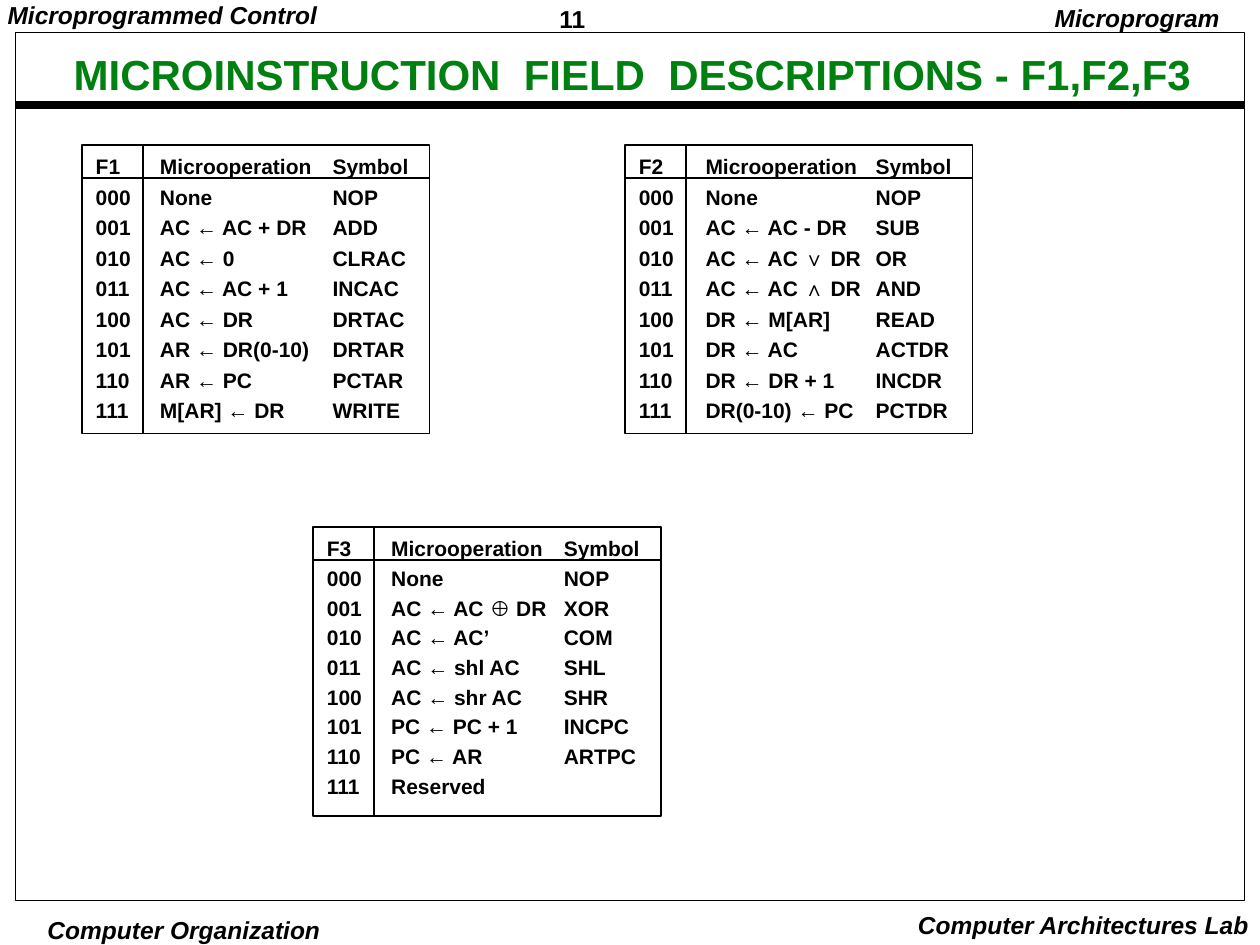
from lxml import etree
from pptx import Presentation
from pptx.dml.color import RGBColor
from pptx.enum.shapes import MSO_CONNECTOR, MSO_SHAPE
from pptx.enum.text import MSO_ANCHOR, MSO_AUTO_SIZE, PP_ALIGN
from pptx.oxml.ns import qn
from pptx.util import Inches, Pt

LEFT, CENTER, RIGHT = PP_ALIGN.LEFT, PP_ALIGN.CENTER, PP_ALIGN.RIGHT
MIDDLE, TOP = MSO_ANCHOR.MIDDLE, MSO_ANCHOR.TOP
GROW = MSO_AUTO_SIZE.SHAPE_TO_FIT_TEXT
STRAIGHT, RECTANGLE = MSO_CONNECTOR.STRAIGHT, MSO_SHAPE.RECTANGLE
COLORS = {"ink": "000000", "title": "008011"}

deck = Presentation()
deck.slide_width, deck.slide_height = Inches(10), Inches(7.5)
page = deck.slides.add_slide(deck.slide_layouts[5])

# Grid of 100 columns by 75 rows
COLUMN, ROW = deck.slide_width / 100, deck.slide_height / 75


def write(box, lines, size, color="ink", italic=False, align=LEFT, spacing=1.0,
          insets=(0.07, 0.03), wrap=False, anchor=TOP, tabs=()):
    """Fill a box with one bold paragraph per line."""
    frame = box.text_frame
    across, down = (Inches(inset) for inset in insets)
    frame_format = {"word_wrap": wrap, "auto_size": GROW, "vertical_anchor": anchor,
                    "margin_left": across, "margin_right": across,
                    "margin_top": down, "margin_bottom": down}
    for name, value in frame_format.items():
        setattr(frame, name, value)
    for number, line in enumerate(lines):
        para = frame.add_paragraph() if number else frame.paragraphs[0]
        para.alignment, para.line_spacing = align, spacing
        if tabs:
            stops = etree.SubElement(para._p.get_or_add_pPr(), qn("a:tabLst"))
            for stop in tabs:
                etree.SubElement(stops, qn("a:tab"), pos=str(Inches(stop)), algn="l")
        span = para.add_run()
        span.text = line
        font_format = {"name": "Arial", "size": Pt(size), "bold": True, "italic": italic}
        for name, value in font_format.items():
            setattr(span.font, name, value)
        span.font.color.rgb = RGBColor.from_string(COLORS[color])


def outline(shape, weight):
    """Draw a shape or connector as a plain black line without shadow."""
    shape.line.color.rgb = RGBColor.from_string(COLORS["ink"])
    shape.line.width = Pt(weight)
    if hasattr(shape, "fill"):
        shape.fill.background()
        shape.shadow.inherit = False
    else:
        etree.SubElement(shape._element.spPr, qn("a:effectLst"))


# Running heads, feet and page number: text, column, row, width, height, format
margin_texts = [
    ("11", 43.7, 0, 10.8, 2.9, {"spacing": 1.01}),
    ("Microprogrammed Control", -0.1, 0, 26, 2.7, {"italic": True, "spacing": 0.9}),
    ("Microprogram ", 82.2, 0, 15.6, 3.1,
     {"italic": True, "align": RIGHT, "spacing": 0.9, "insets": (0.1, 0.05)}),
    ("Computer Organization", 3.2, 72.5, 22.8, 2.6,
     {"italic": True, "align": CENTER, "insets": (0.03, 0.01)}),
    ("Computer Architectures Lab", 71.8, 71.7, 28.3, 3.3,
     {"italic": True, "align": RIGHT, "insets": (0.1, 0.05)}),
]
for text, column, row, width, height, text_format in margin_texts:
    box = page.shapes.add_textbox(int(column * COLUMN), int(row * ROW),
                                  int(width * COLUMN), int(height * ROW))
    write(box, [text], 14, **text_format)

# Page frame and the heavy rule under the title
frame_box = page.shapes.add_shape(RECTANGLE, int(1.25 * COLUMN), int(2.6 * ROW),
                                  int(97.5 * COLUMN), int(68.9 * ROW))
outline(frame_box, 0.5)
title_rule = page.shapes.add_connector(STRAIGHT, int(1.25 * COLUMN), int(8.3 * ROW),
                                       int(98.75 * COLUMN), int(8.3 * ROW))
outline(title_rule, 4.5)

# Title
title = page.shapes.title
title.left, title.top = int(3.75 * COLUMN), int(3.8 * ROW)
title.width, title.height = int(92.9 * COLUMN), int(4.6 * ROW)
write(title, ["MICROINSTRUCTION  FIELD  DESCRIPTIONS - F1,F2,F3"], 24, "title",
      align=CENTER, spacing=0.9, wrap=True, anchor=MIDDLE)

# Field listings: name, column, row, text width, text height, first tab, spacing, operations
fields = [
    ("F1", 6.5, 11.5, 30, 22.3, 0.51, 1.21, [
        ("None", "NOP"), ("AC ← AC + DR", "ADD"), ("AC ← 0", "CLRAC"),
        ("AC ← AC + 1", "INCAC"), ("AC ← DR", "DRTAC"), ("AR ← DR(0-10)", "DRTAR"),
        ("AR ← PC", "PCTAR"), ("M[AR] ← DR", "WRITE")]),
    ("F2", 49.6, 11.5, 39.4, 22.3, 0.53, 1.21, [
        ("None", "NOP"), ("AC ← AC - DR", "SUB"), ("AC ← AC ∨ DR", "OR"),
        ("AC ← AC ∧ DR", "AND"), ("DR ← M[AR]", "READ"), ("DR ← AC", "ACTDR"),
        ("DR ← DR + 1", "INCDR"), ("DR(0-10) ← PC", "PCTDR")]),
    ("F3", 24.85, 41.85, 44.4, 21.8, 0.51, 1.18, [
        ("None", "NOP"), ("AC ← AC ⊕ DR", "XOR"), ("AC ← AC’", "COM"),
        ("AC ← shl AC", "SHL"), ("AC ← shr AC", "SHR"), ("PC ← PC + 1", "INCPC"),
        ("PC ← AR", "ARTPC"), ("Reserved",)]),
]
BOX_WIDTH, BOX_HEIGHT = 27.6, 22.9
HEADER_HEIGHT, CODE_WIDTH, TEXT_SHIFT = 2.6, 4.85, 0.4
SYMBOL_TAB = 1.88

for name, column, row, width, height, operation_tab, spacing, operations in fields:
    lines = ["\t".join((name, "Microoperation", "Symbol"))]
    lines += ["\t".join((f"{code:03b}", *operation))
              for code, operation in enumerate(operations)]
    listing = page.shapes.add_textbox(int((column + TEXT_SHIFT) * COLUMN), int(row * ROW),
                                      int(width * COLUMN), int(height * ROW))
    write(listing, lines, 12, spacing=spacing, wrap=True,
          tabs=(0, operation_tab, SYMBOL_TAB))

    border = page.shapes.add_shape(RECTANGLE, int(column * COLUMN), int(row * ROW),
                                   int(BOX_WIDTH * COLUMN), int(BOX_HEIGHT * ROW))
    outline(border, 1)
    right, bottom = column + BOX_WIDTH, row + BOX_HEIGHT
    header_row, code_edge = row + HEADER_HEIGHT, column + CODE_WIDTH
    for x1, y1, x2, y2 in [(column, header_row, right, header_row),
                           (code_edge, row, code_edge, bottom)]:
        divider = page.shapes.add_connector(STRAIGHT, int(x1 * COLUMN), int(y1 * ROW),
                                            int(x2 * COLUMN), int(y2 * ROW))
        outline(divider, 1)

deck.save("out.pptx")
